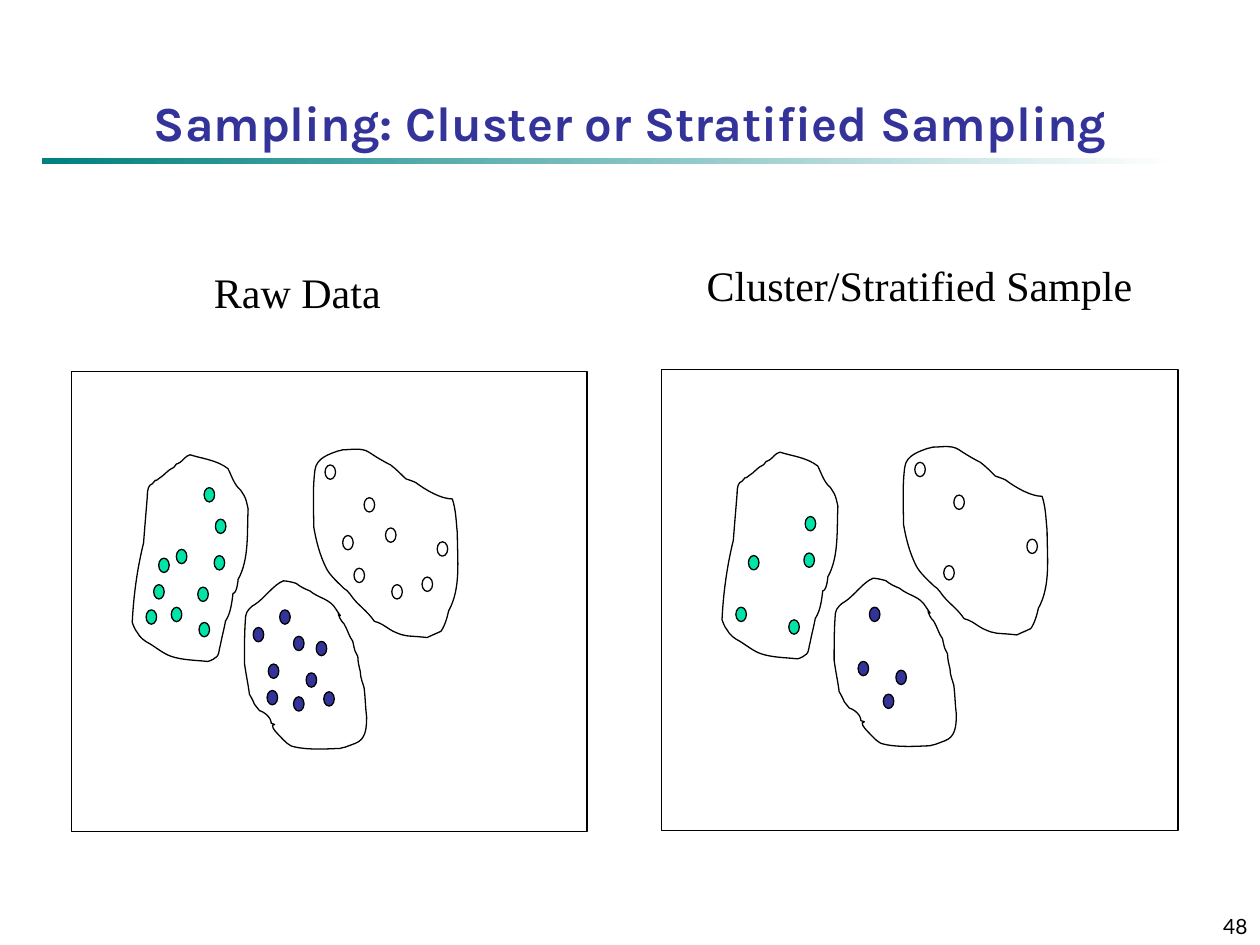
from pptx import Presentation
from pptx.dml.color import RGBColor
from pptx.enum.shapes import MSO_SHAPE
from pptx.enum.text import MSO_ANCHOR, MSO_AUTO_SIZE, PP_ALIGN
from pptx.oxml.ns import qn
from pptx.util import Pt

BLACK = RGBColor(0x00, 0x00, 0x00)
WHITE = RGBColor(0xFF, 0xFF, 0xFF)
NAVY = RGBColor(0x33, 0x33, 0x99)
TEAL = RGBColor(0x00, 0x80, 0x80)
MINT = RGBColor(0x00, 0xE4, 0xA8)

GRID = 0.72  # points per grid unit of the cluster coordinates
SAMPLE_SHIFT = (337, -1.5)  # from the raw clusters to the sampled ones

# Each outline is a start point followed by Bezier segments of three points.
WHITE_OUTLINE = [
    (359, 396),
    (362, 405), (362, 414), (363, 423), (363, 445), (366, 467), (356, 485),
    (355, 490), (353, 497), (350, 501), (346, 503), (343, 504), (339, 506),
    (321, 504), (323, 506), (312, 501), (308, 499), (305, 496), (300, 494),
    (299, 494), (297, 493), (297, 493), (293, 487), (288, 483), (283, 478),
    (279, 474), (277, 469), (273, 467), (269, 463), (262, 457), (259, 451),
    (254, 441), (251, 430), (249, 418), (249, 403), (248, 388), (250, 373),
    (251, 363), (263, 360), (268, 358), (269, 358), (272, 357), (272, 357),
    (279, 357), (287, 355), (293, 359), (299, 363), (304, 366), (310, 369),
    (314, 372), (318, 376), (322, 380), (325, 381), (328, 382), (330, 383),
    (338, 389), (350, 396), (359, 396),
]
NAVY_OUTLINE = [
    (218, 575),
    (213, 573), (217, 576), (214, 570), (212, 567), (209, 565), (206, 564),
    (205, 562), (203, 561), (202, 559), (201, 556), (198, 551), (198, 551),
    (197, 543), (195, 534), (194, 526), (194, 513), (194, 501), (195, 489),
    (195, 485), (201, 480), (202, 480), (210, 475), (217, 464), (225, 461),
    (227, 461), (232, 462), (235, 463), (239, 466), (241, 467), (246, 469),
    (253, 475), (262, 475), (267, 484), (275, 496), (265, 480), (270, 491),
    (271, 493), (272, 494), (273, 495), (276, 500), (277, 505), (280, 509),
    (282, 518), (281, 515), (284, 521), (284, 525), (285, 529), (286, 533),
    (286, 538), (288, 542), (289, 546), (290, 554), (290, 561), (291, 569),
    (291, 579), (290, 587), (282, 590), (279, 591), (277, 592), (274, 593),
    (273, 593), (270, 594), (270, 594), (265, 594), (243, 596), (231, 592),
    (227, 590), (223, 585), (220, 582), (218, 580), (214, 575), (218, 575),
]
MINT_OUTLINE = [
    (185, 471),
    (184, 479), (183, 487), (179, 493), (178, 499), (176, 506), (175, 512),
    (174, 515), (174, 518), (173, 520), (172, 521), (172, 522), (171, 522),
    (169, 524), (165, 525), (165, 525), (155, 524), (145, 524), (136, 521),
    (130, 519), (124, 514), (119, 511), (115, 509), (111, 506), (109, 502),
    (107, 500), (105, 494), (105, 494), (106, 473), (109, 451), (114, 431),
    (115, 418), (116, 406), (117, 394), (117, 388), (118, 385), (121, 384),
    (126, 378), (121, 384), (126, 380), (131, 377), (133, 373), (138, 371),
    (142, 366), (138, 370), (143, 367), (146, 365), (147, 362), (151, 361),
    (160, 364), (172, 365), (181, 372), (184, 378), (186, 385), (191, 389),
    (192, 391), (194, 393), (195, 396), (196, 399), (197, 404), (197, 404),
    (196, 422), (198, 444), (189, 460), (189, 461), (188, 471), (185, 471),
]

# Colour, outline, dots that are in the sample, dots that are not.
CLUSTERS = [
    (WHITE, WHITE_OUTLINE,
     [(289, 395), (281, 451), (347, 430), (258, 369)],
     [(306, 419), (272, 425), (335, 458), (311, 464)]),
    (NAVY, NAVY_OUTLINE,
     [(233, 553), (243, 534), (213, 527), (222, 484)],
     [(201, 498), (251, 509), (212, 548), (233, 505), (257, 549)]),
    (MINT, MINT_OUTLINE,
     [(116, 484), (126, 443), (158, 494), (170, 441), (171, 412)],
     [(136, 482), (122, 464), (157, 466), (140, 436), (162, 387)]),
]


class SamplingSlide:
    def __init__(self, slide):
        self.slide = slide
        self.line_width = Pt(0.75)
        self.label_font = "Times New Roman"

    def outline_style(self, shape, fill=None):
        shape.shadow.inherit = False
        shape.line.color.rgb = BLACK
        shape.line.width = self.line_width
        if fill is None:
            shape.fill.background()
        else:
            shape.fill.solid()
            shape.fill.fore_color.rgb = fill

    def rule(self, left, top, width, height):
        bar = self.slide.shapes.add_shape(
            MSO_SHAPE.RECTANGLE, Pt(left), Pt(top), Pt(width), Pt(height))
        bar.shadow.inherit = False
        bar.line.fill.background()
        bar.fill.gradient()
        bar.fill.gradient_angle = 0
        for stop, color in zip(bar.fill.gradient_stops, (TEAL, WHITE)):
            stop.color.rgb = color

    def text(self, words, left, top, width, height, size, font, color=BLACK,
             bold=False, align=PP_ALIGN.LEFT, anchor=MSO_ANCHOR.BOTTOM):
        box = self.slide.shapes.add_textbox(
            Pt(left), Pt(top), Pt(width), Pt(height))
        frame = box.text_frame
        frame.text = words
        frame.word_wrap = True
        frame.vertical_anchor = anchor
        paragraph = frame.paragraphs[0]
        paragraph.alignment = align
        font_style = paragraph.runs[0].font
        font_style.size = Pt(size)
        font_style.name = font
        font_style.bold = bold
        font_style.color.rgb = color
        return frame

    def label(self, words, left, top, width):
        frame = self.text(words, left, top, width, 36, 24, self.label_font,
                          anchor=MSO_ANCHOR.TOP)
        frame.word_wrap = False
        frame.auto_size = MSO_AUTO_SIZE.SHAPE_TO_FIT_TEXT

    def frame(self, group, left, top, width, height):
        self.outline_style(group.shapes.add_shape(
            MSO_SHAPE.RECTANGLE, Pt(left), Pt(top), Pt(width), Pt(height)))

    def dot(self, group, x, y, shift, color):
        self.outline_style(group.shapes.add_shape(
            MSO_SHAPE.FLOWCHART_CONNECTOR, Pt(x * GRID + shift[0]),
            Pt(y * GRID + shift[1]), Pt(6), Pt(8.2)), color)

    def cluster_outline(self, group, points, shift):
        """Draw a closed outline of Bezier curves."""
        builder = group.shapes.build_freeform(*points[0], scale=float(Pt(GRID)))
        builder.add_line_segments(points[1:], close=True)
        shape = builder.convert_to_shape(Pt(shift[0]), Pt(shift[1]))
        steps = list(shape._element.iter(qn("a:lnTo")))
        for first, second, third in zip(steps[::3], steps[1::3], steps[2::3]):
            curve = first.makeelement(qn("a:cubicBezTo"), {})
            first.addprevious(curve)
            for step in (first, second, third):
                curve.append(step[0])
                step.getparent().remove(step)
        self.outline_style(shape)

    def panel(self, bounds, shift, sample_only):
        group = self.slide.shapes.add_group_shape()
        self.frame(group, *bounds)
        for color, outline, sampled, others in CLUSTERS:
            for x, y in sampled if sample_only else sampled + others:
                self.dot(group, x, y, shift, color)
            self.cluster_outline(group, outline, shift)


def main():
    deck = Presentation()
    deck.slide_width, deck.slide_height = Pt(720), Pt(540)
    page = SamplingSlide(deck.slides.add_slide(deck.slide_layouts[6]))

    page.rule(24, 90, 648, 3.6)
    page.text("48", 570, 510, 150, 30, 12, "Lato", align=PP_ALIGN.RIGHT)
    page.text("Sampling: Cluster or Stratified Sampling", 18, 24, 684, 66,
              28, "Karla", NAVY, True, PP_ALIGN.CENTER)
    page.panel((41, 212.4, 294.5, 262.8), (0, 0), False)
    page.panel((378, 211, 295.2, 263.5), SAMPLE_SHIFT, True)
    page.label("Raw Data", 115.2, 149, 115.2)
    page.label("Cluster/Stratified Sample", 396.7, 144.7, 257.8)

    deck.save("out.pptx")


if __name__ == "__main__":
    main()
